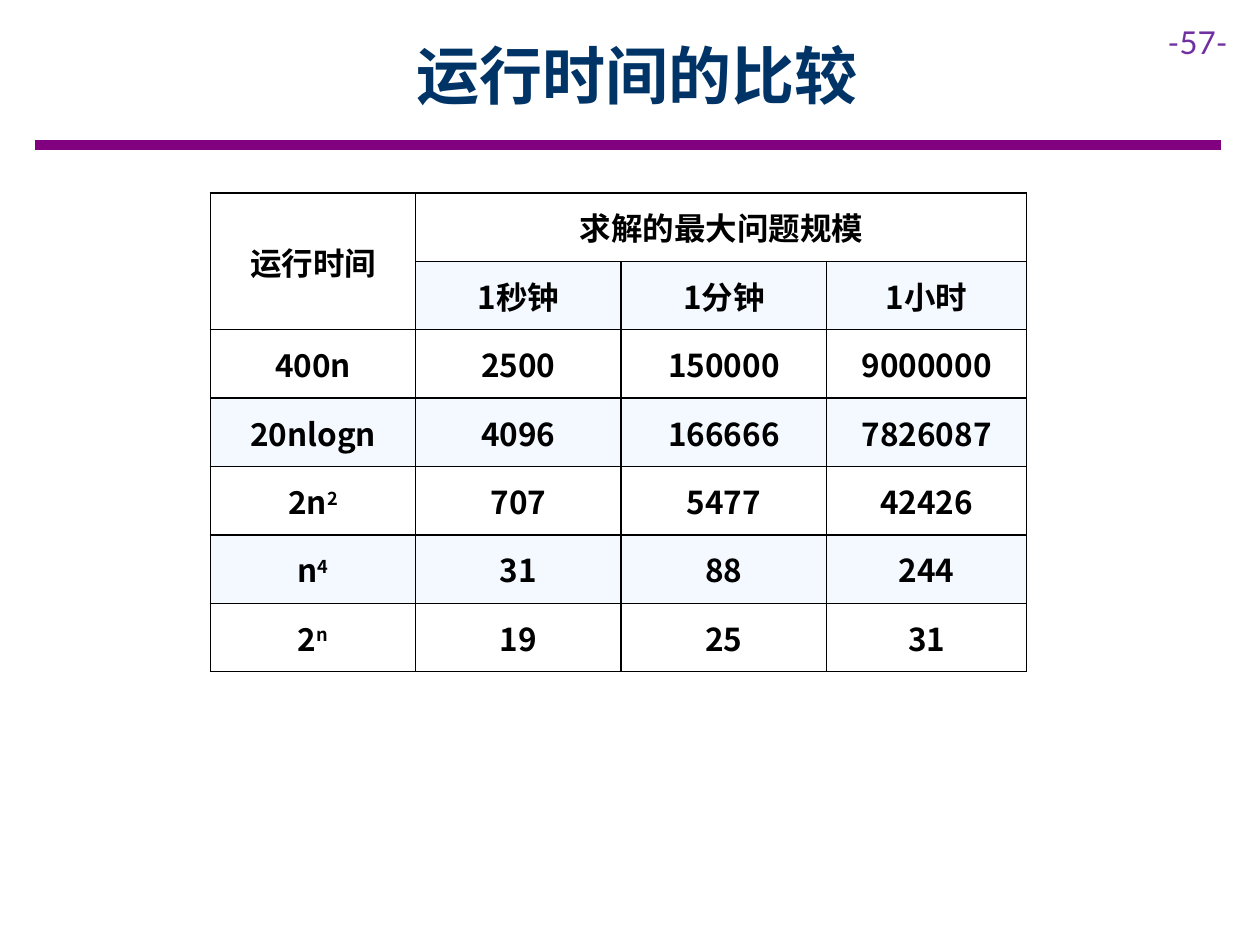
from lxml import etree
from pptx import Presentation
from pptx.dml.color import RGBColor
from pptx.enum.shapes import MSO_CONNECTOR
from pptx.enum.text import MSO_ANCHOR, PP_ALIGN
from pptx.oxml.ns import qn
from pptx.util import Pt

CENTER, LEFT = PP_ALIGN.CENTER, PP_ALIGN.LEFT
MIDDLE, TOP = MSO_ANCHOR.MIDDLE, MSO_ANCHOR.TOP
STRAIGHT = MSO_CONNECTOR.STRAIGHT

COLORS = {"rule": "800080", "number": "7030A0", "title": "003366",
          "body": "000000", "band": "CAE2FF"}
CJK = "Noto Sans CJK SC"
TITLE_FORMAT = {"name": CJK, "size": Pt(36), "bold": True}
NUMBER_FORMAT = {"name": "Lato", "size": Pt(18), "bold": False}
CELL_FORMAT = {"name": CJK, "size": Pt(18), "bold": True}

TITLE = "运行时间的比较"
PAGE_NUMBER = "-57-"
RUNTIMES = [
    ["运行时间", "求解的最大问题规模", "", ""],
    ["", "1秒钟", "1分钟", "1小时"],
    ["400n", "2500", "150000", "9000000"],
    ["20nlogn", "4096", "166666", "7826087"],
    [("2n", "2"), "707", "5477", "42426"],
    [("n", "4"), "31", "88", "244"],
    [("2", "n"), "19", "25", "31"],
]
MERGES = [((0, 0), (1, 0)), ((0, 1), (0, 3))]
COLUMN_WIDTHS = [117.4, 117.4, 117.4, 114.4]
ROW_HEIGHT = 39.1
BAND_ALPHA = 20


def add_run(paragraph, text, formats, color, raised=False):
    run = paragraph.add_run()
    run.text = text
    for attribute, value in formats.items():
        setattr(run.font, attribute, value)
    run.font.color.rgb = RGBColor.from_string(COLORS[color])
    properties = run.font._element
    etree.SubElement(properties, qn("a:ea"), typeface=formats["name"])
    if raised:
        properties.set("baseline", "30000")


def add_label(slide, text, box, formats, color, align, anchor):
    label = slide.shapes.add_textbox(*map(Pt, box))
    frame = label.text_frame
    frame.word_wrap = True
    frame.vertical_anchor = anchor
    frame.paragraphs[0].alignment = align
    add_run(frame.paragraphs[0], text, formats, color)


def add_borders(cell):
    properties = cell._tc.get_or_add_tcPr()
    for position, side in enumerate(("lnL", "lnR", "lnT", "lnB")):
        border = etree.Element(qn(f"a:{side}"), w=str(Pt(1)))
        fill = etree.SubElement(border, qn("a:solidFill"))
        etree.SubElement(fill, qn("a:srgbClr"), val=COLORS["body"])
        properties.insert(position, border)


def fill_cell(cell, content, banded):
    cell.vertical_anchor = MIDDLE
    if banded:
        cell.fill.solid()
        cell.fill.fore_color.rgb = RGBColor.from_string(COLORS["band"])
        shade = cell._tc.tcPr.find(".//" + qn("a:srgbClr"))
        etree.SubElement(shade, qn("a:alpha"), val=str(BAND_ALPHA * 1000))
    else:
        cell.fill.background()
    add_borders(cell)
    paragraph = cell.text_frame.paragraphs[0]
    paragraph.alignment = CENTER
    base, exponent = content if isinstance(content, tuple) else (content, "")
    if base:
        add_run(paragraph, base, CELL_FORMAT, "body")
    if exponent:
        add_run(paragraph, exponent, CELL_FORMAT, "body", raised=True)


def add_runtimes(slide):
    height = ROW_HEIGHT * len(RUNTIMES)
    table = slide.shapes.add_table(
        len(RUNTIMES), len(COLUMN_WIDTHS),
        Pt(120.2), Pt(110.2), Pt(sum(COLUMN_WIDTHS)), Pt(height)).table
    for column, width in zip(table.columns, COLUMN_WIDTHS):
        column.width = Pt(width)
    for row in table.rows:
        row.height = Pt(ROW_HEIGHT)
    for first, last in MERGES:
        table.cell(*first).merge(table.cell(*last))
    for r, contents in enumerate(RUNTIMES):
        for c, content in enumerate(contents):
            fill_cell(table.cell(r, c), content, r % 2 == 1 and content != "")


def main():
    presentation = Presentation()
    presentation.slide_width, presentation.slide_height = Pt(720), Pt(540)
    slide = presentation.slides.add_slide(presentation.slide_layouts[6])

    rule = slide.shapes.add_connector(
        STRAIGHT, Pt(19.8), Pt(82.8), Pt(697.8), Pt(82.8))
    rule.line.width = Pt(6)
    rule.line.color.rgb = RGBColor.from_string(COLORS["rule"])
    etree.SubElement(rule._element.spPr, qn("a:effectLst"))

    add_label(slide, PAGE_NUMBER, (660.2, 9.4, 59.8, 28.8),
              NUMBER_FORMAT, "number", LEFT, TOP)
    add_label(slide, TITLE, (64.8, 6.5, 598.3, 72),
              TITLE_FORMAT, "title", CENTER, MIDDLE)
    add_runtimes(slide)
    presentation.save("out.pptx")


if __name__ == "__main__":
    main()
